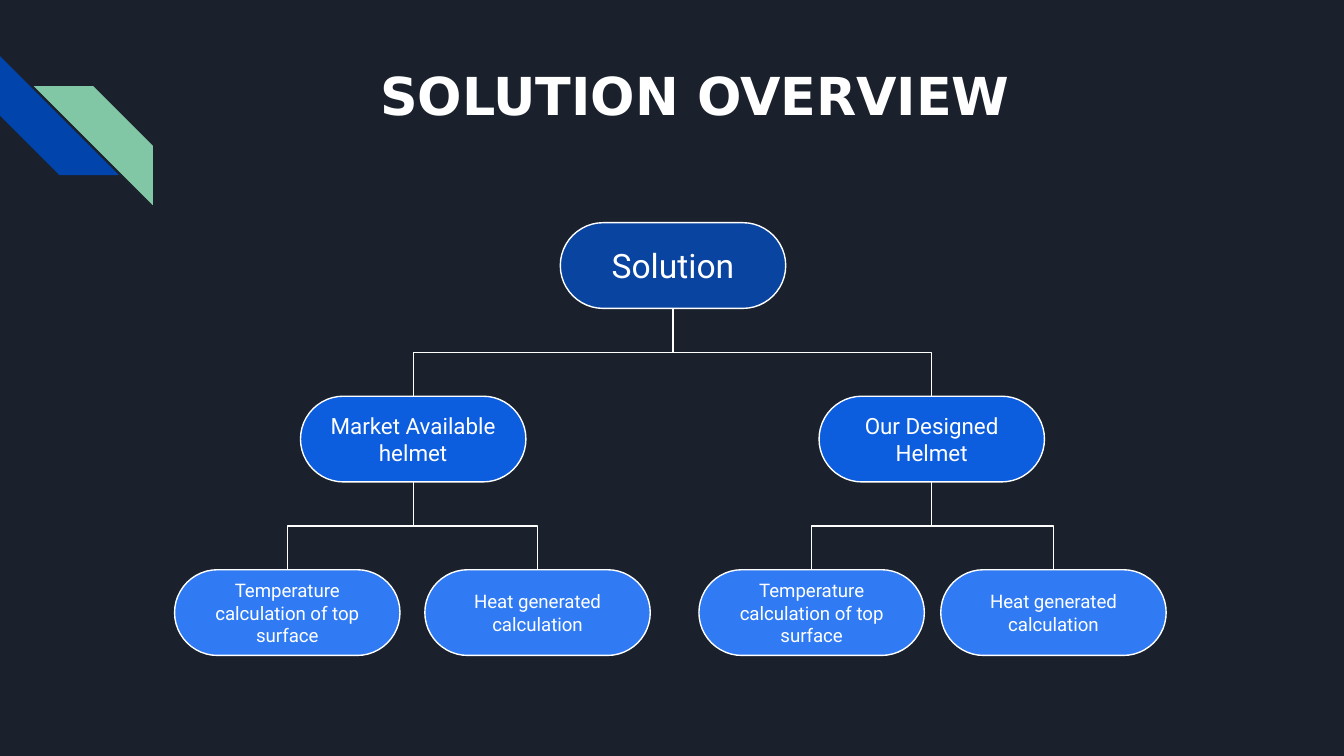
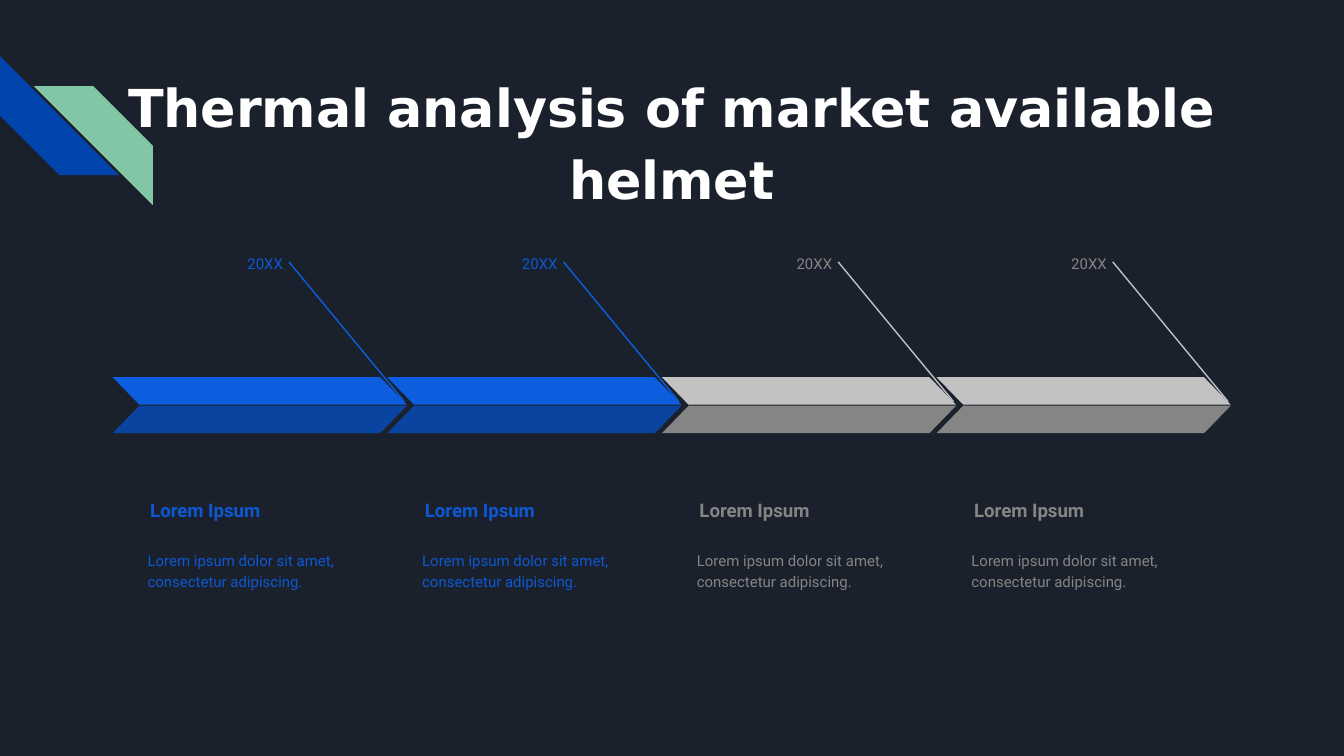
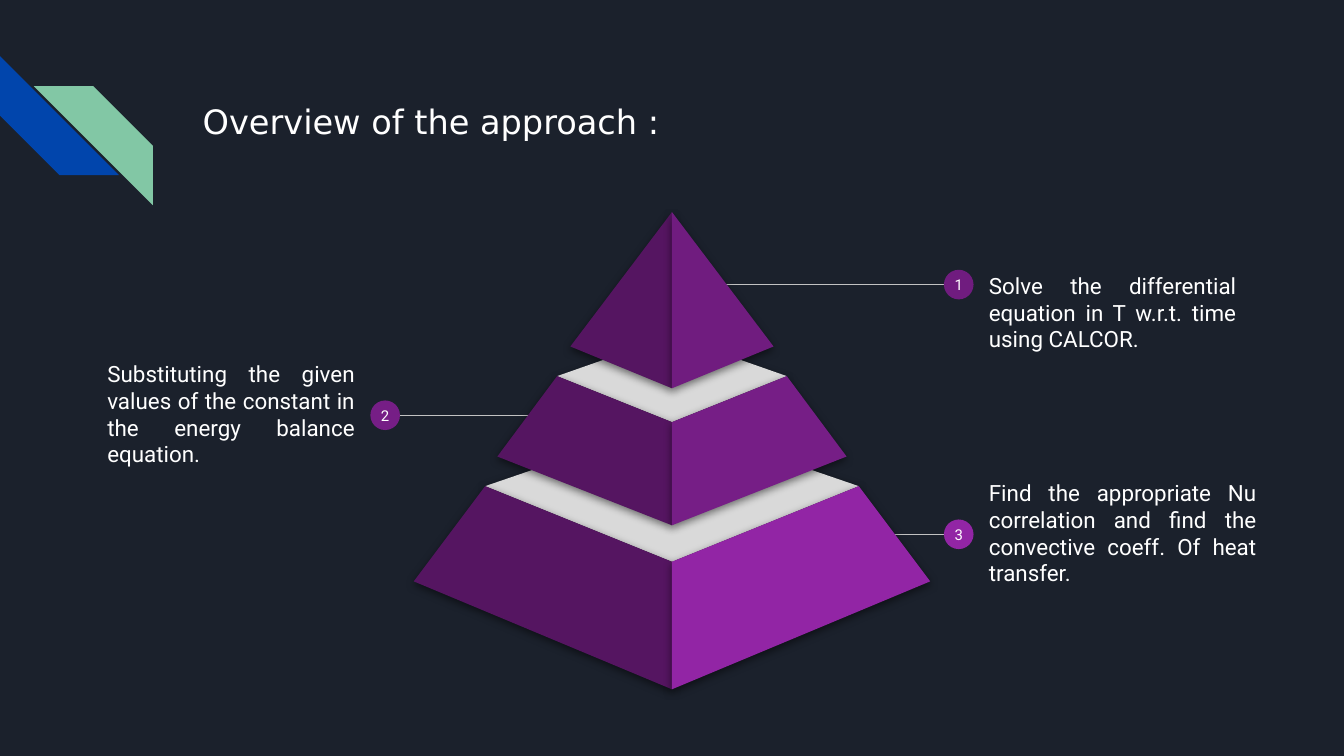
from lxml.etree import SubElement
from pptx import Presentation
from pptx.dml.color import RGBColor
from pptx.enum.shapes import MSO_CONNECTOR, MSO_SHAPE
from pptx.enum.text import MSO_ANCHOR, MSO_AUTO_SIZE, PP_ALIGN
from pptx.oxml.ns import qn
from pptx.util import Cm, Pt

COLOURS = {
    "night": "1B212C", "white": "FFFFFF", "stripe": "0145AC", "mint": "82C7A5",
    "navy": "0944A1", "blue": "0D5DDF", "sky": "307BF3", "label": "0C58D3",
    "silver": "C2C2C2", "grey": "858585", "lid": "D9D9D9",
    "plum": "551561", "violet": "701C7F", "purple": "761E86", "orchid": "9225A5",
}
TITLE_FONT, BODY_FONT = "DejaVu Sans", "Roboto"
LEFT, CENTER, RIGHT, JUSTIFY = PP_ALIGN.LEFT, PP_ALIGN.CENTER, PP_ALIGN.RIGHT, PP_ALIGN.JUSTIFY
TOP, MIDDLE, BOTTOM = MSO_ANCHOR.TOP, MSO_ANCHOR.MIDDLE, MSO_ANCHOR.BOTTOM

# Content of slide 1: each node is (text, left in cm, children)
TEMPERATURE = "Temperature calculation of top surface"
HEAT = "Heat generated calculation"
SOLUTION_TREE = ("Solution", 10.59, [
    ("Market Available helmet", 5.68, [(TEMPERATURE, 3.3, []), (HEAT, 8.03, [])]),
    ("Our Designed Helmet", 15.48, [(TEMPERATURE, 13.21, []), (HEAT, 17.78, [])]),
])
LEVELS = [("navy", 18), ("blue", 12), ("sky", 10)]  # fill, text size

# Content of slide 2: (date, heading, body, text colour, upper band, lower band)
LOREM = ("20XX", "Lorem Ipsum", "Lorem ipsum dolor sit amet, consectetur adipiscing.")
STAGES = [(*LOREM, "label", "blue", "navy")] * 2 + [(*LOREM, "grey", "silver", "grey")] * 2

# Content of slide 3: (number, text, colour, row y, badge x, line end x,
#                      text left, text width, top inset)
STEPS = [
    ("3", "Find the appropriate Nu correlation and find the convective coeff. Of heat transfer.",
     "orchid", 10.1, 18.12, 16.76, 18.44, 5.56, 0.25),
    ("2", "Substituting the given values of the constant in the energy balance equation.",
     "purple", 7.85, 7.28, 10.08, 1.78, 5.18, 0.25),
    ("1", "Solve the differential equation in T w.r.t. time using CALCOR.",
     "violet", 5.38, 18.12, 13.64, 18.44, 5.18, 1.35),
]
# Pyramid tiers, bottom first: half width and y of the rim, back and front y of
# the lid, half width and y of the base, y of the lowest corner, right colour
TIERS = [
    (3.53, 9.19, 7.98, 10.62, 4.88, 10.99, 13.03, "orchid"),
    (2.17, 7.11, 6.35, 7.98, 3.3, 8.63, 9.93, "purple"),
    (0, 4.01, 4.01, 4.01, 1.92, 6.55, 7.34, "violet"),
]
PYRAMID_AXIS = 12.7


def colour(name):
    return RGBColor.from_string(COLOURS[name])


def write(holder, text, size=12, font=BODY_FONT, fill="white", bold=False, align=LEFT,
          anchor=TOP, leading=None, before=None, after=None, inset=0.25, top_inset=None):
    frame = holder.text_frame
    frame.word_wrap = True
    frame.auto_size = MSO_AUTO_SIZE.NONE
    frame.vertical_anchor = anchor
    frame.margin_left = frame.margin_right = frame.margin_bottom = Cm(inset)
    frame.margin_top = Cm(inset if top_inset is None else top_inset)
    paragraph = frame.paragraphs[0]
    paragraph.alignment = align
    paragraph.line_spacing = leading
    if before is not None:
        paragraph.space_before = Pt(before)
    if after is not None:
        paragraph.space_after = Pt(after)
    run = paragraph.add_run()
    run.text = text
    run.font.name, run.font.size, run.font.bold = font, Pt(size), bold
    run.font.color.rgb = colour(fill)


def add_label(slide, text, box, **style):
    write(slide.shapes.add_textbox(*map(Cm, box)), text, **style)


def paint(shape, fill, outline=None):
    shape.shadow.inherit = False
    shape.fill.solid()
    shape.fill.fore_color.rgb = colour(fill)
    if outline:
        shape.line.color.rgb = colour(outline)
        shape.line.width = Pt(0.75)
    else:
        shape.line.fill.background()


def add_figure(slide, kind, box, fill, outline=None, adjust=None, flip=False):
    figure = slide.shapes.add_shape(kind, *map(Cm, box))
    paint(figure, fill, outline)
    if adjust is not None:
        figure.adjustments[0] = adjust
    if flip:
        figure.element.spPr.find(qn("a:xfrm")).set("flipH", "1")
    return figure


def add_line(slide, start, end, fill, kind=MSO_CONNECTOR.STRAIGHT):
    line = slide.shapes.add_connector(kind, *map(Cm, (*start, *end)))
    line.line.color.rgb = colour(fill)
    line.line.width = Pt(0.75)
    SubElement(line.element.spPr, qn("a:effectLst"))
    return line


def add_slide(prs, title, box, **style):
    slide = prs.slides.add_slide(prs.slide_layouts[5])
    heading = slide.shapes.title
    heading.left, heading.top, heading.width, heading.height = map(Cm, box)
    write(heading, title, font=TITLE_FONT, **style)
    return slide


def decorate_layout(slide):
    """Move the corner stripes to the layout that all slides use."""
    blue_stripe = add_figure(slide, MSO_SHAPE.DIAGONAL_STRIPE, (0, 1.06, 2.25, 2.25),
                             "stripe", adjust=0.5)
    blue_stripe.rotation = 270
    mint_stripe = add_figure(slide, MSO_SHAPE.DIAGONAL_STRIPE, (0.64, 1.63, 2.25, 2.25),
                             "mint", adjust=0.5, flip=True)
    for position, stripe in enumerate((blue_stripe, mint_stripe), start=2):
        slide.slide_layout.shapes.element.insert(position, stripe.element)


# Slide 1: solution tree
def link_nodes(slide, parent, child):
    """Join the parent's bottom to the child's top by a down-across-down line."""
    x1, y1 = parent.left + parent.width // 2, parent.top + parent.height
    x2, y2 = child.left + child.width // 2, child.top
    link = add_line(slide, (0, 0), (1, 1), "white", MSO_CONNECTOR.ELBOW)
    link.begin_connect(parent, 2)
    link.end_connect(child, 0)
    drop, reach = y2 - y1, abs(x2 - x1)
    link.left, link.top = (x1 + x2 - drop) // 2, (y1 + y2 - reach) // 2
    link.width, link.height = drop, reach
    turn = link.element.spPr.find(qn("a:xfrm"))
    for flip in ("flipH", "flipV"):
        turn.attrib.pop(flip, None)
    turn.set("rot", "16200000" if x2 > x1 else "5400000")
    if x2 > x1:
        turn.set("flipH", "1")


def add_node(slide, node, level=0):
    text, left, children = node
    fill, size = LEVELS[level]
    pill = add_figure(slide, MSO_SHAPE.ROUNDED_RECTANGLE, (left, 4.21 + 3.28 * level, 4.26, 1.62),
                      fill, outline="white", adjust=0.5)
    write(pill, text, size=size, align=CENTER, anchor=MIDDLE)
    for child in children:
        link_nodes(slide, pill, add_node(slide, child, level + 1))
    return pill


# Slide 2: timeline
def add_stage(slide, left, stage):
    date, heading, body, ink, upper, lower = stage
    add_label(slide, date, (left + 1.57, 4.52, 1.9, 0.86), size=8, fill=ink,
              align=RIGHT, leading=1.15, after=16)
    add_label(slide, heading, (left + 0.46, 8.51, 4.57, 1.6), size=10, fill=ink,
              bold=True, anchor=BOTTOM, leading=1.15)
    add_label(slide, body, (left + 0.41, 10.13, 4.7, 2.64), size=8, fill=ink,
              leading=1.15, after=16)
    add_line(slide, (left + 3.33, 4.95), (left + 5.51, 7.59), upper)
    for top, fill, flip in ((7.13, upper, True), (7.67, lower, False)):
        add_figure(slide, MSO_SHAPE.PARALLELOGRAM, (left, top, 5.56, 0.52), fill,
                   adjust=0.97, flip=flip)


# Slide 3: pyramid with numbered steps
def add_step(slide, step):
    number, text, fill, y, badge_x, line_end, left, width, top_inset = step
    add_line(slide, (line_end, y), (badge_x, y), "silver")
    add_label(slide, text, (left, y - 1.95, width, 3.84), align=JUSTIFY, anchor=MIDDLE,
              after=16, top_inset=top_inset)
    badge = add_figure(slide, MSO_SHAPE.OVAL, (badge_x - 0.28, y - 0.28, 0.56, 0.56), fill)
    write(badge, number, size=8, align=CENTER, anchor=MIDDLE, inset=0)


def add_face(slide, corners, fill):
    start, *rest = [(Cm(PYRAMID_AXIS + x), Cm(y)) for x, y in corners]
    outline = slide.shapes.build_freeform(*start)
    outline.add_line_segments(rest, close=True)
    face = outline.convert_to_shape()
    paint(face, fill)
    effects = face.element.spPr.find(qn("a:effectLst"))
    shadow = SubElement(effects, qn("a:outerShdw"), blurRad=str(Pt(4.5)), dist=str(Pt(1.5)),
                        dir="5400000", algn="t", rotWithShape="0")
    black = SubElement(shadow, qn("a:srgbClr"), val="000000")
    SubElement(black, qn("a:alpha"), val="50000")


def add_tier(slide, tier):
    rim, rim_y, lid_back, lid_front, base, base_y, lowest, right_fill = tier
    if rim:
        add_face(slide, [(-rim, rim_y), (0, lid_front), (rim, rim_y), (0, lid_back)], "lid")
    for side, fill in ((-1, "plum"), (1, right_fill)):
        corners = [(side * rim, rim_y), (side * base, base_y), (0, lowest)]
        if rim:
            corners.append((0, lid_front))
        add_face(slide, corners, fill)


def main():
    prs = Presentation()
    prs.slide_width, prs.slide_height = Cm(25.4), Cm(14.29)
    backdrop = prs.slide_master.background.fill
    backdrop.solid()
    backdrop.fore_color.rgb = colour("night")

    solution = add_slide(prs, "SOLUTION OVERVIEW", (3.02, 0.94, 20.22, 1.7),
                         size=28, bold=True, align=CENTER)
    decorate_layout(solution)
    add_node(solution, SOLUTION_TREE)

    thermal = add_slide(prs, "Thermal analysis of market available helmet",
                        (1.8, 0.99, 21.79, 2.92), size=28, bold=True, align=CENTER,
                        leading=1.15, before=18, after=6)
    for index, stage in enumerate(STAGES):
        add_stage(thermal, 2.13 + 5.19 * index, stage)

    approach = add_slide(prs, "Overview of the approach :", (3.58, 1.65, 19.56, 1.27), size=18)
    for step in STEPS:
        add_step(approach, step)
    for tier in TIERS:
        add_tier(approach, tier)

    prs.save("out.pptx")


if __name__ == "__main__":
    main()
